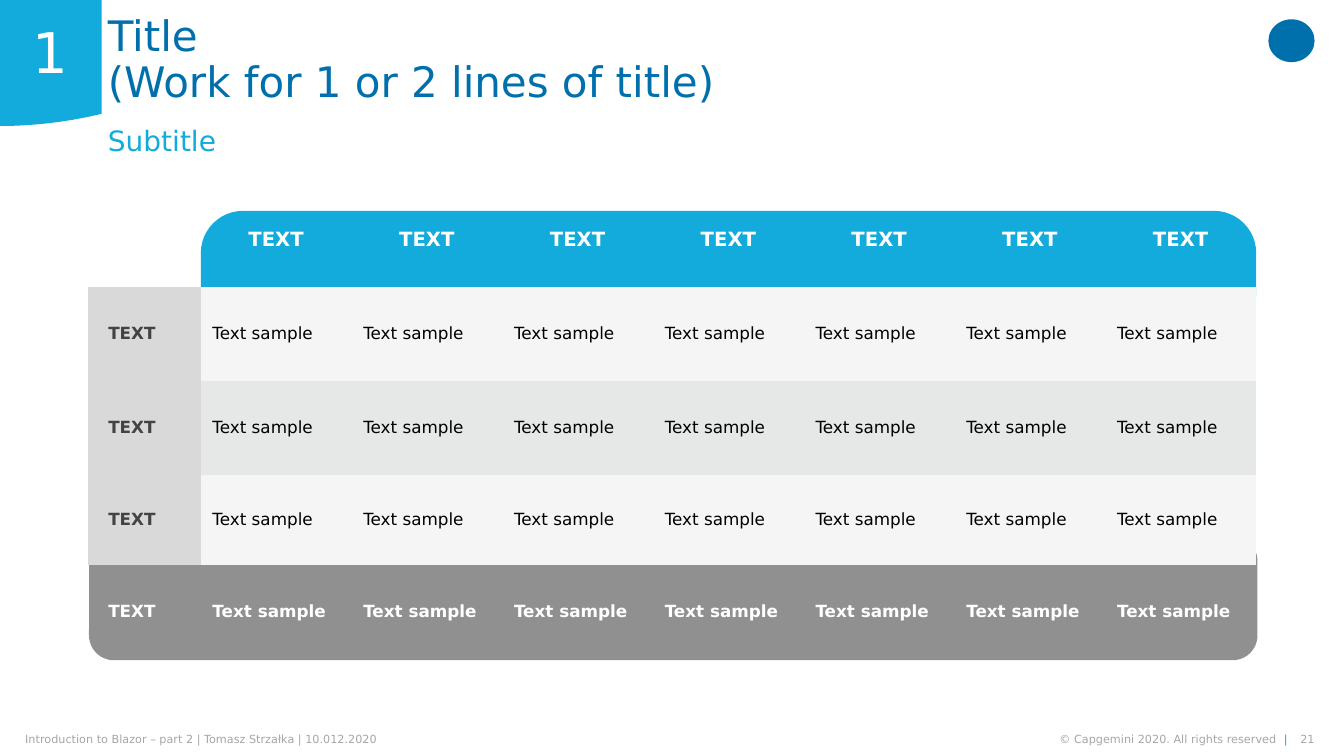
"""Build a slide with a numbered title and a rounded seven-column table."""
from dataclasses import dataclass
from typing import Any

from pptx import Presentation as Deck
from pptx.dml.color import RGBColor as Color
from pptx.enum.shapes import MSO_SHAPE as Form
from pptx.enum.text import MSO_ANCHOR as Anchor, PP_ALIGN as Align
from pptx.util import Inches, Pt

WIDE, HIGH = Inches(13.33), Inches(7.5)
COLS, ROWS = 160, 90
PLAIN = "{2D5ABB26-0587-4C30-8999-92F81FD0307C}"


@dataclass(frozen=True)
class Theme:
    face: str = "DejaVu Sans"
    blue: str = "0070AD"
    cyan: str = "12ABDB"
    white: str = "FFFFFF"
    black: str = "000000"
    dark: str = "434343"
    mute: str = "A6A6A6"
    gray: str = "909090"
    side: str = "D9D9D9"
    pale: str = "F5F5F5"
    band: str = "E6E7E7"
    title: float = 30
    sub: float = 20
    badge: float = 40
    note: float = 8
    head: float = 14
    body: float = 12


T = Theme()


@dataclass(frozen=True)
class Area:
    col: float
    row: float
    wide: float
    high: float

    def place(self) -> tuple[int, int, int, int]:
        return across(self.col), down(self.row), across(self.wide), down(self.high)


@dataclass(frozen=True)
class Block:
    area: Area
    form: Any
    fill: str
    round: float | None = None


@dataclass(frozen=True)
class Label:
    area: Area
    runs: tuple[tuple[str, str], ...]
    size: float
    align: Any = Align.LEFT
    anchor: Any = Anchor.MIDDLE
    line: float = 1.0


@dataclass(frozen=True)
class Band:
    high: float
    lead: str
    text: str
    ink: str
    tint: str
    bold: bool
    fills: tuple[str | None, str | None]
    size: float = T.body
    align: Any = Align.LEFT
    anchor: Any = Anchor.MIDDLE


def across(cols: float) -> int:
    return round(WIDE * cols / COLS)


def down(rows: float) -> int:
    return round(HIGH * rows / ROWS)


def apply(item: Any, values: dict[str, Any]) -> None:
    for name, value in values.items():
        setattr(item, name, value)


def style(run: Any, ink: str, size: float, bold: bool = False) -> None:
    apply(run.font, {"name": T.face, "size": Pt(size), "bold": bold})
    run.font.color.rgb = Color.from_string(ink)


def paint(shape: Any, fill: str) -> None:
    shape.shadow.inherit = False
    shape.fill.solid()
    shape.fill.fore_color.rgb = Color.from_string(fill)
    shape.line.fill.background()


def draw_block(slide: Any, block: Block) -> None:
    shape = slide.shapes.add_shape(block.form, *block.area.place())
    if block.round is not None:
        shape.adjustments[0] = block.round
    paint(shape, block.fill)


def draw_flag(slide: Any, area: Area, rise: float, steps: int = 24) -> None:
    edge = [(across(area.wide * i / steps), down(area.high - rise * (i / steps) ** 2))
            for i in range(steps + 1)]
    pen = slide.shapes.build_freeform(0, 0)
    pen.add_line_segments([*edge, (across(area.wide), 0)], close=True)
    paint(pen.convert_to_shape(), T.cyan)


def draw_label(slide: Any, label: Label) -> None:
    frame = slide.shapes.add_textbox(*label.area.place()).text_frame
    apply(frame, {"word_wrap": True, "vertical_anchor": label.anchor, "margin_left": 0,
                  "margin_right": 0, "margin_top": 0, "margin_bottom": 0})
    para = frame.paragraphs[0]
    apply(para, {"alignment": label.align, "line_spacing": label.line})
    for text, ink in label.runs:
        for i, line in enumerate(text.split("\n")):
            if i:
                para.add_line_break()
            run = para.add_run()
            run.text = line
            style(run, ink, label.size)


def fill_cell(cell: Any, band: Band, first: bool) -> None:
    fill = band.fills[0 if first else 1]
    if fill:
        cell.fill.solid()
        cell.fill.fore_color.rgb = Color.from_string(fill)
    else:
        cell.fill.background()
    apply(cell, {"vertical_anchor": band.anchor, "margin_left": across(2.4 if first else 1.4),
                 "margin_right": across(1.4), "margin_top": 0, "margin_bottom": 0})
    text = band.lead if first else band.text
    if text:
        para = cell.text_frame.paragraphs[0]
        para.alignment = band.align
        run = para.add_run()
        run.text = text
        style(run, band.tint if first else band.ink, band.size, first or band.bold)


def draw_table(slide: Any, col: float, row: float, wides: list[float], bands: list[Band]) -> None:
    area = Area(col, row, sum(wides), sum(band.high for band in bands))
    table = slide.shapes.add_table(len(bands), len(wides), *area.place()).table
    apply(table, {"first_row": False, "horz_banding": False})
    table._tbl.tblPr[0].text = PLAIN
    for i, wide in enumerate(wides):
        table.columns[i].width = across(wide)
    for j, band in enumerate(bands):
        table.rows[j].height = down(band.high)
        for i in range(len(wides)):
            fill_cell(table.cell(j, i), band, i == 0)


BLOCKS = [
    Block(Area(151, 2.3, 5.5, 5.1), Form.OVAL, T.blue),
    Block(Area(10.6, 63.8, 139.1, 14.8), Form.ROUNDED_RECTANGLE, T.gray, 0.2),
    Block(Area(23.9, 25.1, 125.65, 14.8), Form.ROUNDED_RECTANGLE, T.cyan, 0.34),
]
LABELS = [
    Label(Area(12.85, 0, 136.2, 14.5), (("Title\n(Work for 1 or 2 lines of title)", T.blue),),
          T.title, line=0.9),
    Label(Area(12.85, 15.1, 143.6, 6.6), (("Subtitle", T.cyan),), T.sub,
          anchor=Anchor.TOP, line=0.9),
    Label(Area(0, 0.6, 12, 12), (("1", T.white),), T.badge, Align.CENTER, line=0.9),
    Label(Area(3, 87.2, 61.9, 1.6),
          (("Introduction to Blazor – part 2 | Tomasz Strzałka | 10.012.2020", T.mute),), T.note),
    Label(Area(118.3, 87.2, 35, 1.6),
          (("© Capgemini 2020. All rights reserved  ", T.mute), ("|", T.cyan)),
          T.note, Align.RIGHT),
    Label(Area(154.2, 87.2, 2.3, 1.6), (("21", T.mute),), T.note, Align.RIGHT),
]
BANDS = [
    Band(6.95, "", "TEXT", T.white, T.white, True, (None, None), T.head, Align.CENTER, Anchor.TOP),
    *(Band(high, "TEXT", "Text sample", T.black, T.dark, False, (T.side, fill))
      for high, fill in ((11.2, T.pale), (11.2, T.band), (10.7, T.pale))),
    Band(11.2, "TEXT", "Text sample", T.white, T.white, True, (None, None)),
]


def main() -> None:
    deck = Deck()
    apply(deck, {"slide_width": WIDE, "slide_height": HIGH})
    slide = deck.slides.add_slide(deck.slide_layouts[6])
    draw_flag(slide, Area(0, 0, 12.1, 15), 1.45)
    for block in BLOCKS:
        draw_block(slide, block)
    for label in LABELS:
        draw_label(slide, label)
    draw_table(slide, 10.5, 27.2, [13.4] + [17.95] * 7, BANDS)
    deck.save("out.pptx")


if __name__ == "__main__":
    main()
